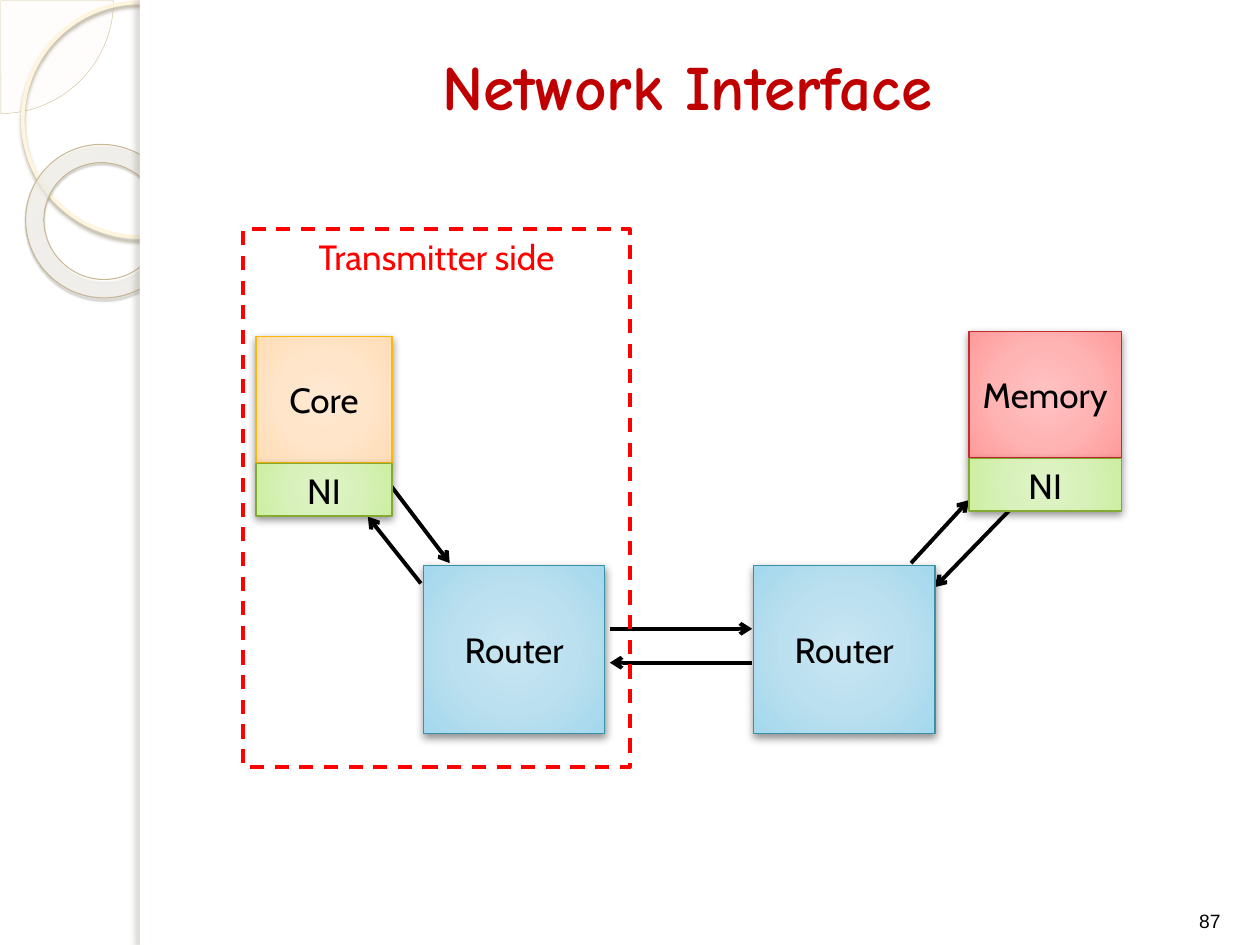
from lxml import etree
from pptx import Presentation
from pptx.dml.color import RGBColor
from pptx.enum import dml, shapes, text
from pptx.oxml import parse_xml
from pptx.oxml.ns import qn
from pptx.util import Pt

A = 'xmlns:a="http://schemas.openxmlformats.org/drawingml/2006/main"'
BLACK = RGBColor(0x00, 0x00, 0x00)
WHITE = RGBColor(0xFF, 0xFF, 0xFF)
RED = RGBColor(0xFF, 0x00, 0x00)
TITLE_RED = RGBColor(0xC0, 0x00, 0x00)
CREAM = RGBColor(0xFE, 0xFA, 0xF4)
PIE_EDGE = RGBColor(0xD3, 0xC3, 0x9F)
RING_EDGE = RGBColor(0xFF, 0xF5, 0xDE)
DONUT_EDGE = RGBColor(0xC7, 0xB8, 0x93)
BLUE = RGBColor(0x38, 0x91, 0xA7)
ORANGE = RGBColor(0xFE, 0xB8, 0x0A)
GREEN = RGBColor(0x84, 0xAA, 0x33)
CRIMSON = RGBColor(0xC3, 0x2D, 0x2E)
CENTRE = (50, 50, 50, 50)
BLOCK_SHADOW = ("000000", 43, 5, 2, 90)
# Gradient stops: position, colour, opacity in percent
BLUES, ORANGES, GREENS, REDS = [
    [(p, c, 100) for p, c in zip((0, 50, 97, 100), row.split())]
    for row in ("C9E6F2 BBE0EF A4D8ED 9BD7EE", "FFE9D3 FFE5C9 FFDDB7 FFDBB2",
                "DFF3C7 D8F1BA CDEFA2 CAF199", "FFC2C2 FFB4B4 FF9C9C FF9595")]

prs = Presentation()
prs.slide_width, prs.slide_height = Pt(720), Pt(540)
s = prs.slides.add_slide(prs.slide_layouts[6])


def add_shape(kind, box, fill=None, edge=None, width=0.75, shadow=None, focus=CENTRE):
    """Add a preset shape; fill is a colour, a list of gradient stops or None."""
    sp = s.shapes.add_shape(kind, *[Pt(v) for v in box])
    sp.shadow.inherit = False
    if isinstance(fill, RGBColor):
        sp.fill.solid()
        sp.fill.fore_color.rgb = fill
    else:
        sp.fill.background()
    if edge is None:
        sp.line.fill.background()
    else:
        sp.line.color.rgb = edge
        sp.line.width = Pt(width)
    pr = sp._element.spPr
    if isinstance(fill, list):
        stops = "".join(f'<a:gs pos="{p * 1000}"><a:srgbClr val="{c}"><a:alpha val="{a * 1000}"/>'
                        f'</a:srgbClr></a:gs>' for p, c, a in fill)
        l, t, r, b = [v * 1000 for v in focus]
        pr.replace(pr.find(qn("a:noFill")), parse_xml(
            f'<a:gradFill {A} rotWithShape="1"><a:gsLst>{stops}</a:gsLst><a:path path="circle">'
            f'<a:fillToRect l="{l}" t="{t}" r="{r}" b="{b}"/></a:path></a:gradFill>'))
    if shadow:
        c, alpha, blur, dist, angle = shadow
        pr.find(qn("a:effectLst")).append(parse_xml(
            f'<a:outerShdw {A} blurRad="{Pt(blur)}" dist="{Pt(dist)}" dir="{angle * 60000}" '
            f'algn="ctr" rotWithShape="0"><a:srgbClr val="{c}"><a:alpha val="{alpha * 1000}"/>'
            f'</a:srgbClr></a:outerShdw>'))
    return sp


def set_text(sp, words, size, font, color, anchor=text.MSO_ANCHOR.TOP,
             align=text.PP_ALIGN.CENTER, bold=False):
    tf = sp.text_frame
    tf.word_wrap = True
    tf.vertical_anchor = anchor
    p = tf.paragraphs[0]
    p.text = words
    p.alignment = align
    p.font.size, p.font.name, p.font.bold = Pt(size), font, bold
    p.font.color.rgb = color


KIND = shapes.MSO_SHAPE
MIDDLE = text.MSO_ANCHOR.MIDDLE

# Side decoration
pie = add_shape(KIND.PIE, (-64, -64, 128.9, 128.9), CREAM, PIE_EDGE, 0.25)
pie.adjustments[0], pie.adjustments[1] = 0, 54
cream = pie._element.spPr.find(qn("a:solidFill"))[0]
etree.SubElement(cream, qn("a:alpha"), val="33000")
add_shape(KIND.OVAL, (13, 1.4, 134, 134), None, RING_EDGE, 2.15, ("B0A68F", 85, 2, 2, 90))
donut = add_shape(KIND.DONUT, (14.4, 82.8, 88.6, 87.1),
                  [(0, "FFFCF6", 70), (70, "FFFEFB", 55), (100, "F0D28E", 60)],
                  DONUT_EDGE, 0.58, ("5A5444", 35, 1, 1.2, 75), (-408, -50, 508, 150))
donut.adjustments[0] = 0.12
donut.rotation = 38.6

# White content panel with a shaded left edge
add_shape(KIND.RECTANGLE, (80, 0, 640, 540), WHITE)
add_shape(KIND.RECTANGLE, (80, 0, 5.8, 540), WHITE, shadow=("736F63", 25, 3, 3, 180))

# Title
title = s.shapes.add_textbox(Pt(77.8), Pt(10), Pt(630), Pt(77.8))
set_text(title, "Network Interface", 36, "Comic Neue", TITLE_RED, MIDDLE, bold=True)

# Links, each drawn towards its arrowhead
for x1, y1, x2, y2 in [
        (195.8, 241.2, 257, 321.8), (240.5, 333.4, 210.2, 295.2),
        (348.5, 359.3, 429.8, 359.3), (429.8, 378.7, 348.5, 378.7),
        (604.8, 262.8, 534.2, 335.5), (520.6, 321.8, 553.7, 285.8)]:
    link = s.shapes.add_connector(shapes.MSO_CONNECTOR.STRAIGHT, Pt(x1), Pt(y1), Pt(x2), Pt(y2))
    link.line.color.rgb = BLACK
    link.line.width = Pt(2.25)
    etree.SubElement(link.line._get_or_add_ln(), qn("a:tailEnd"), type="arrow")
    etree.SubElement(link._element.spPr, qn("a:effectLst"))

# Routers, core and memory, the last two with a network interface below
for words, box, fill, edge, anchor in [
        ("Router", (242, 323.3, 103.7, 95.8), BLUES, BLUE, MIDDLE),
        ("Router", (430.6, 323.3, 103.7, 95.8), BLUES, BLUE, MIDDLE),
        ("Core", (146.2, 192.2, 77.8, 72), ORANGES, ORANGE, MIDDLE),
        ("NI", (146.2, 265, 77.8, 29.9), GREENS, GREEN, text.MSO_ANCHOR.TOP),
        ("Memory", (553.7, 189.4, 87.1, 72), REDS, CRIMSON, MIDDLE),
        ("NI", (553.7, 262.1, 87.1, 29.9), GREENS, GREEN, text.MSO_ANCHOR.TOP)]:
    block = add_shape(KIND.RECTANGLE, box, fill, edge, shadow=BLOCK_SHADOW)
    set_text(block, words, 20, "Cabin", BLACK, anchor)

# Transmitter frame
frame = add_shape(KIND.RECTANGLE, (139, 131, 221, 307.4), None, RED, 2)
frame.line.dash_style = dml.MSO_LINE.DASH
set_text(frame, "Transmitter side", 20, "Cabin", RED)

# Page number
number = s.shapes.add_textbox(Pt(678.2), Pt(516.2), Pt(36), Pt(18))
set_text(number, "87", 11, "Arial", BLACK, align=text.PP_ALIGN.LEFT)

prs.save("out.pptx")
